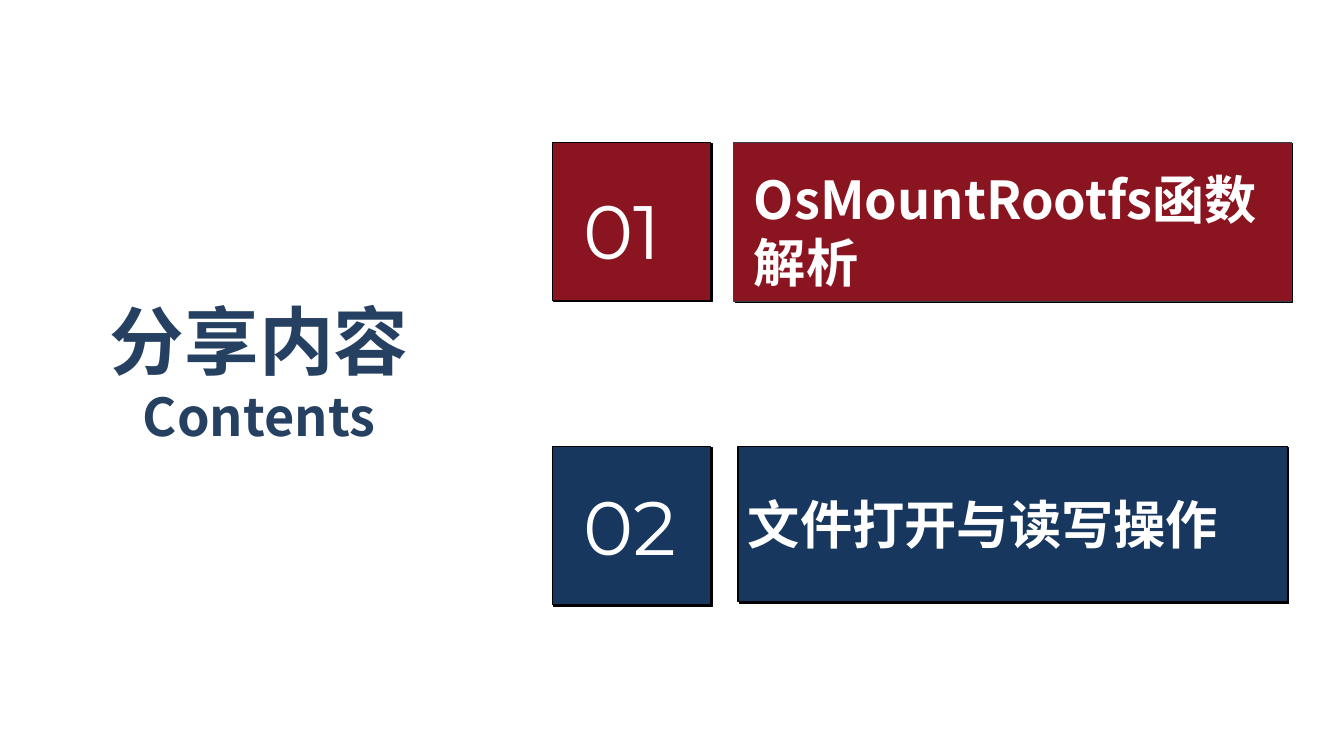
from lxml.etree import SubElement
from pptx import Presentation
from pptx.dml.color import RGBColor
from pptx.enum.shapes import MSO_SHAPE
from pptx.enum.text import MSO_AUTO_SIZE, PP_ALIGN
from pptx.oxml.ns import qn
from pptx.util import Inches, Pt

WHITE = RGBColor(0xFF, 0xFF, 0xFF)
BLACK = RGBColor(0x00, 0x00, 0x00)
SLATE = RGBColor(0x32, 0x3F, 0x4F)
RED = RGBColor(0x8A, 0x14, 0x20)
NAVY = RGBColor(0x17, 0x37, 0x5E)
TITLE_BLUE = RGBColor(0x25, 0x40, 0x61)
NUMBER_FONT = "Montserrat"
TEXT_FONT = "Noto Sans CJK SC"

presentation = Presentation()
presentation.slide_width = Inches(13.33)
presentation.slide_height = Inches(7.5)
slide = presentation.slides.add_slide(presentation.slide_layouts[6])

# The grid has 100 columns and 100 rows.
column = presentation.slide_width / 100
row = presentation.slide_height / 100


def add_block(left, top, width, height, fill, outline):
    """Add a filled rectangle with a hard shadow to its lower right."""
    block = slide.shapes.add_shape(
        MSO_SHAPE.RECTANGLE, int(left * column), int(top * row),
        int(width * column), int(height * row))
    block.fill.solid()
    block.fill.fore_color.rgb = fill
    block.line.color.rgb = outline
    block.line.width = Pt(0.75)
    block.shadow.inherit = False
    effects = block._element.spPr.find(qn("a:effectLst"))
    shadow = SubElement(effects, qn("a:outerShdw"), blurRad="0",
                        dist=str(Pt(1.4)), dir=str(45 * 60000),
                        algn="tl", rotWithShape="0")
    SubElement(shadow, qn("a:srgbClr"), val=str(BLACK))


def add_text(left, top, width, height, lines, font_name, color,
             bold=True, wrap=True, alignment=PP_ALIGN.LEFT):
    """Add a text box; lines holds (text, size) pairs, one per paragraph."""
    box = slide.shapes.add_textbox(
        int(left * column), int(top * row),
        int(width * column), int(height * row))
    frame = box.text_frame
    frame.word_wrap = wrap
    frame.auto_size = MSO_AUTO_SIZE.SHAPE_TO_FIT_TEXT
    frame.text = "\n".join(text for text, size in lines)
    for paragraph, (text, size) in zip(frame.paragraphs, lines):
        paragraph.alignment = alignment
        run = paragraph.runs[0]
        run.font.size = Pt(size)
        run.font.name = font_name
        run.font.bold = bold
        run.font.color.rgb = color
        SubElement(run.font._element, qn("a:ea"), typeface=font_name)


add_text(7.28, 38.4, 24, 21.73, [("分享内容", 53.3), ("Contents", 37.3)],
         TEXT_FONT, TITLE_BLUE, wrap=False, alignment=PP_ALIGN.CENTER)

# Each entry: number, heading, fill, row of the blocks, row and width of the
# number, position of the heading block, its outline, position of the heading.
entries = [
    ("01", "OsMountRootfs函数解析", RED, 18.8, (23.73, 9.83),
     (54.61, 41.48, 21.07), SLATE, (55.36, 21.47, 42.16, 18.13)),
    ("02", "文件打开与读写操作", NAVY, 59.07, (62.8, 10.28),
     (54.91, 40.89, 20.53), BLACK, (54.91, 64.4, 42.84, 9.73)),
]
for (number, heading, fill, top, (number_top, number_width),
     (left, width, height), outline, heading_place) in entries:
    add_block(41.11, top, 11.78, 20.93, fill, BLACK)
    add_text(42.69, number_top, number_width, 13.47, [(number, 54)],
             NUMBER_FONT, WHITE, bold=False)
    add_block(left, top, width, height, fill, outline)
    add_text(*heading_place, [(heading, 37.3)], TEXT_FONT, WHITE)

presentation.save("out.pptx")
